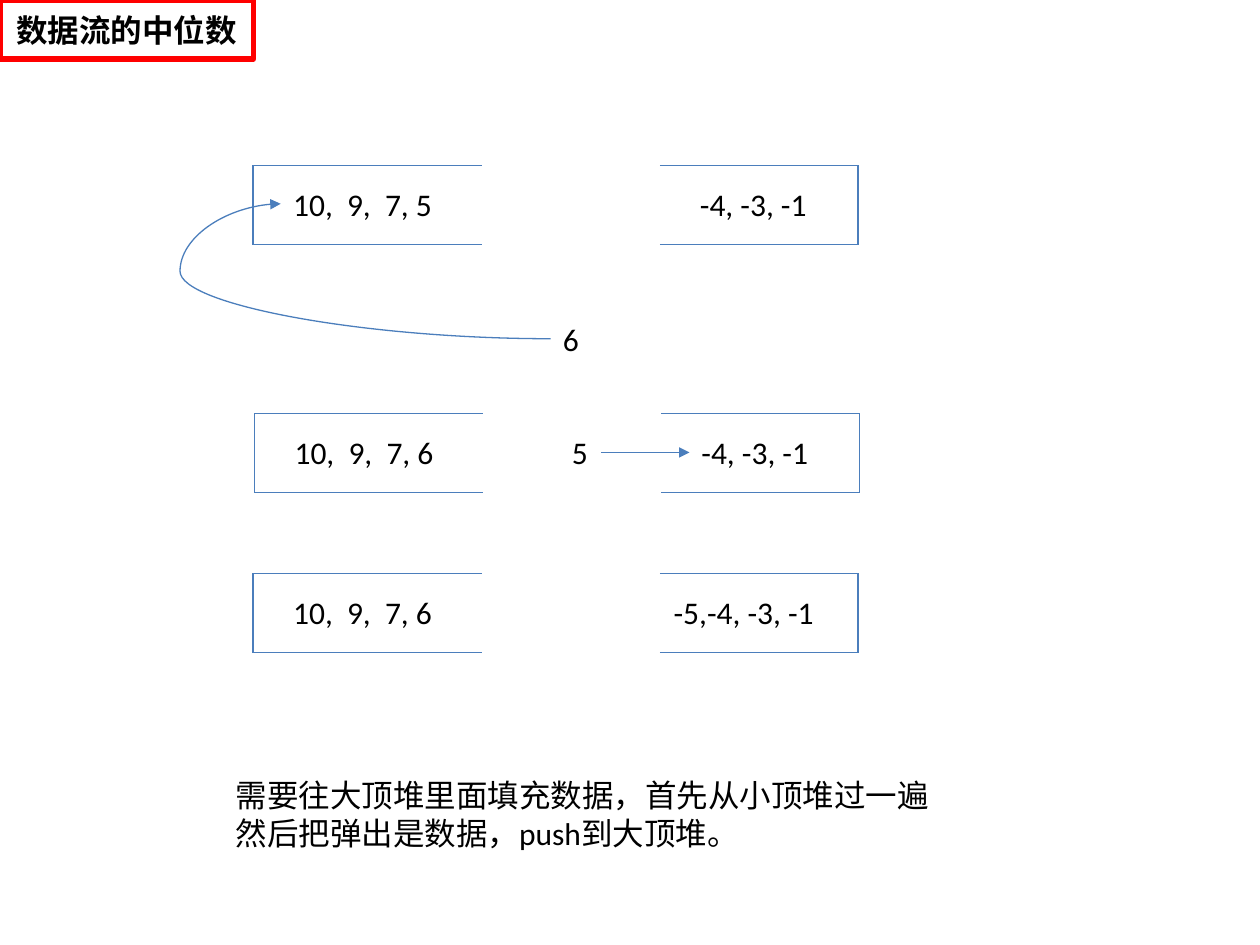
import lxml.etree
import pptx
import pptx.dml.color
import pptx.enum.shapes
import pptx.enum.text
import pptx.oxml.ns
import pptx.util

Cm = pptx.util.Cm
Pt = pptx.util.Pt
RGB = pptx.dml.color.RGBColor
KIND = pptx.enum.shapes.MSO_CONNECTOR
ALIGN = pptx.enum.text.PP_ALIGN
FIT = pptx.enum.text.MSO_AUTO_SIZE

BLUE = RGB(0x4B, 0x7E, 0xBC)
RED = RGB(0xFF, 0x00, 0x00)
BLACK = RGB(0x00, 0x00, 0x00)
WHITE = RGB(0xFF, 0xFF, 0xFF)

FONT = {"name": "Calibri", "size": Pt(18), "bold": False}
FRAME = {"word_wrap": False, "auto_size": FIT.SHAPE_TO_FIT_TEXT}

HIGH = 1.6
ROWS = [
    (5.1, 3.33, "10,  9,  7, 5", "-4, -3, -1", 0.56, 2.69),
    (5.13, 8.33, "10,  9,  7, 6", "-4, -3, -1", 0.56, 2.69),
    (5.1, 11.56, "10,  9,  7, 6", "-5,-4, -3, -1", 0.03, 3.38),
]


def apply(item, values):
    for key, value in values.items():
        setattr(item, key, value)


def add(parent, tag, **values):
    child = lxml.etree.SubElement(parent, pptx.oxml.ns.qn(tag))
    for key, value in values.items():
        child.set(key, value)


def write(frame, lines, font, align=ALIGN.LEFT):
    frame.text = "\n".join(lines)
    for para in frame.paragraphs:
        para.alignment = align
        for run in para.runs:
            apply(run.font, font)
            run.font.color.rgb = BLACK


def label(slide, box, *lines):
    shape = slide.shapes.add_textbox(*map(Cm, box))
    write(shape.text_frame, lines, FONT)
    apply(shape.text_frame, FRAME)


def link(slide, start, end, arrow=False, bend=None):
    kind = KIND.STRAIGHT if bend is None else KIND.CURVE
    line = slide.shapes.add_connector(kind, *map(Cm, start + end))
    line.line.color.rgb = BLUE
    line.line.width = Pt(0.75)
    props = line._element.spPr
    qn = pptx.oxml.ns.qn
    if arrow:
        add(props.find(qn("a:ln")), "a:tailEnd", type="triangle")
    if bend is not None:
        guides = props.find(qn("a:prstGeom")).find(qn("a:avLst"))
        add(guides, "a:gd", name="adj1", fmla=f"val {round(bend * 100000)}")
    add(props, "a:effectLst")


def heap(slide, box, wall, text, inset, wide):
    left, top, width, height = box
    right, base = left + width, top + height
    link(slide, (left, top), (right, top))
    link(slide, (left, base), (right, base))
    side = left if wall == "left" else right
    link(slide, (side, top), (side, base))
    label(slide, (left + inset, top + 0.28, wide, 1.02), text)


def row(slide, left, top, big, small, inset, wide):
    heap(slide, (left, top, 4.61, HIGH), "left", big, 0.56, 3.35)
    heap(slide, (left + 8.2, top, 4, HIGH), "right", small, inset, wide)


def title(slide, box, text):
    shape = slide.shapes.add_shape(
        pptx.enum.shapes.MSO_SHAPE.RECTANGLE, *map(Cm, box))
    shape.shadow.inherit = False
    shape.fill.solid()
    shape.fill.fore_color.rgb = WHITE
    shape.line.color.rgb = RED
    shape.line.width = Pt(3)
    shape.text_frame.vertical_anchor = pptx.enum.text.MSO_ANCHOR.MIDDLE
    write(shape.text_frame, [text], {**FONT, "bold": True}, ALIGN.CENTER)


def moves(slide, left, top):
    label(slide, (left, top, 0.84, 1.02), "6")
    link(slide, (left, top + 0.51), (left - 5.44, top - 2.21), True, 1.373)
    label(slide, (left + 0.18, top + 2.29, 0.84, 1.02), "5")
    level = top + 2.8
    link(slide, (left + 1.02, level), (left + 2.8, level), True)


def main():
    deck = pptx.Presentation()
    apply(deck, {"slide_width": Cm(25.4), "slide_height": Cm(19.05)})
    slide = deck.slides.add_slide(deck.slide_layouts[6])
    title(slide, (0, 0, 5.11, 1.19), "数据流的中位数")
    for item in ROWS:
        row(slide, *item)
    moves(slide, 11.1, 6.32)
    label(slide, (4.5, 15.52, 14.63, 1.8),
          "需要往大顶堆里面填充数据，首先从小顶堆过一遍",
          "然后把弹出是数据，push到大顶堆。")
    deck.save("out.pptx")


main()
